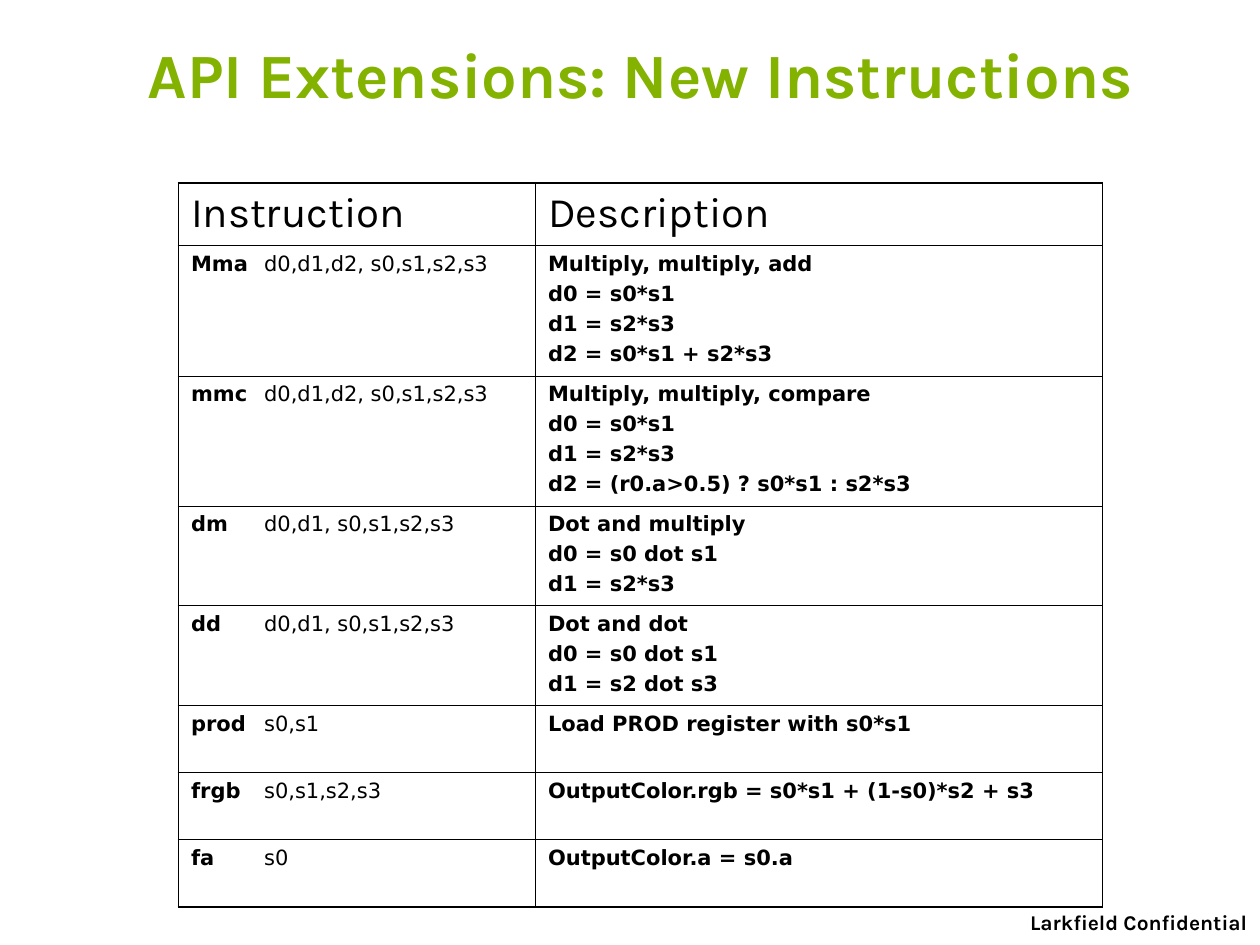
from lxml import etree
from pptx import Presentation
from pptx.dml.color import RGBColor
from pptx.enum.text import MSO_ANCHOR, PP_ALIGN
from pptx.oxml.ns import qn
from pptx.util import Inches, Pt

CENTER, RIGHT = PP_ALIGN.CENTER, PP_ALIGN.RIGHT
TOP, MIDDLE = MSO_ANCHOR.TOP, MSO_ANCHOR.MIDDLE

BLACK = RGBColor(0x00, 0x00, 0x00)
WHITE = RGBColor(0xFF, 0xFF, 0xFF)
GREEN = RGBColor(0x83, 0xB2, 0x00)
HEAD, BODY = "Karla", "DejaVu Sans"
THIN, THICK = Pt(0.45), Pt(1.08)

# The slide is a grid of 120 columns by 90 rows.
UNIT = Inches(10) / 120
COLS = [34, 54]
ROWS = [6, 12.4, 12.4, 9.5, 9.5, 6.4, 6.4, 6.4]
STOP = Inches(0.58)

HEADS = ["Instruction", "Description"]
OPS = [
    ("Mma", "d0,d1,d2, s0,s1,s2,s3",
     ["Multiply, multiply, add", "d0 = s0*s1", "d1 = s2*s3",
      "d2 = s0*s1 + s2*s3"]),
    ("mmc", "d0,d1,d2, s0,s1,s2,s3",
     ["Multiply, multiply, compare", "d0 = s0*s1", "d1 = s2*s3",
      "d2 = (r0.a>0.5) ? s0*s1 : s2*s3"]),
    ("dm", "d0,d1, s0,s1,s2,s3",
     ["Dot and multiply", "d0 = s0 dot s1", "d1 = s2*s3"]),
    ("dd", "d0,d1, s0,s1,s2,s3",
     ["Dot and dot", "d0 = s0 dot s1", "d1 = s2 dot s3"]),
    ("prod", "s0,s1", ["Load PROD register with s0*s1"]),
    ("frgb", "s0,s1,s2,s3", ["OutputColor.rgb = s0*s1 + (1-s0)*s2 + s3"]),
    ("fa", "s0", ["OutputColor.a = s0.a"]),
]


def grid(*cells):
    return [round(n * UNIT) for n in cells]


def style(font, name, size, color=BLACK, bold=False):
    font.name, font.size, font.bold = name, Pt(size), bold
    font.color.rgb = color


def add_label(slide, box, text, size, color, align, anchor):
    frame = slide.shapes.add_textbox(*grid(*box)).text_frame
    frame.word_wrap = True
    frame.vertical_anchor = anchor
    frame.text = text
    par = frame.paragraphs[0]
    par.alignment = align
    style(par.runs[0].font, HEAD, size, color, True)


def add_tab(par):
    """Set one left tab stop, where the operands start."""
    tabs = etree.SubElement(par._p.get_or_add_pPr(), qn("a:tabLst"))
    etree.SubElement(tabs, qn("a:tab"), pos=str(STOP), algn="l")


def fill_cell(cell):
    cell.fill.solid()
    cell.fill.fore_color.rgb = WHITE
    color = cell._tc.tcPr.find(".//" + qn("a:srgbClr"))
    etree.SubElement(color, qn("a:alpha"), val="50000")


def frame_cell(cell, row, col):
    """Draw thick lines on the table's outer edge and thin ones inside."""
    edges = {"L": col == 0, "R": col == len(COLS) - 1,
             "T": row == 0, "B": row == len(ROWS) - 1}
    for spot, (side, outer) in enumerate(edges.items()):
        width = THICK if outer else THIN
        line = etree.Element(qn("a:ln" + side), w=str(int(width)))
        paint = etree.SubElement(line, qn("a:solidFill"))
        etree.SubElement(paint, qn("a:srgbClr"), val=str(BLACK))
        cell._tc.tcPr.insert(spot, line)


def write_op(cell, name, args):
    par = cell.text_frame.paragraphs[0]
    add_tab(par)
    for text, bold in ((name, True), ("\t" + args, False)):
        run = par.add_run()
        run.text = text
        style(run.font, BODY, 12, bold=bold)


def write_lines(cell, lines, name, size, bold):
    frame = cell.text_frame
    frame.text = "\n".join(lines)
    for par in frame.paragraphs:
        style(par.runs[0].font, name, size, bold=bold)
    for par in frame.paragraphs[1:]:
        par.space_before = Pt(3)


def add_ops(slide):
    box = grid(17, 17.4, sum(COLS), sum(ROWS))
    table = slide.shapes.add_table(len(ROWS), len(COLS), *box).table
    table.first_row = table.horz_banding = False
    for col, width in zip(table.columns, grid(*COLS)):
        col.width = width
    for row, height in zip(table.rows, grid(*ROWS)):
        row.height = height
    for r in range(len(ROWS)):
        for c in range(len(COLS)):
            fill_cell(table.cell(r, c))
            frame_cell(table.cell(r, c), r, c)
    for c, head in enumerate(HEADS):
        write_lines(table.cell(0, c), [head], HEAD, 24, False)
    for r, (name, args, lines) in enumerate(OPS, 1):
        write_op(table.cell(r, 0), name, args)
        write_lines(table.cell(r, 1), lines, BODY, 12, True)


def main():
    deck = Presentation()
    deck.slide_width, deck.slide_height = Inches(10), Inches(7.5)
    slide = deck.slides.add_slide(deck.slide_layouts[6])
    add_label(slide, (89, 86, 31, 3.6), "Larkfield Confidential",
              12, BLACK, RIGHT, TOP)
    add_label(slide, (10, 1, 102, 12), "API Extensions: New Instructions",
              36, GREEN, CENTER, MIDDLE)
    add_ops(slide)
    deck.save("out.pptx")


if __name__ == "__main__":
    main()
